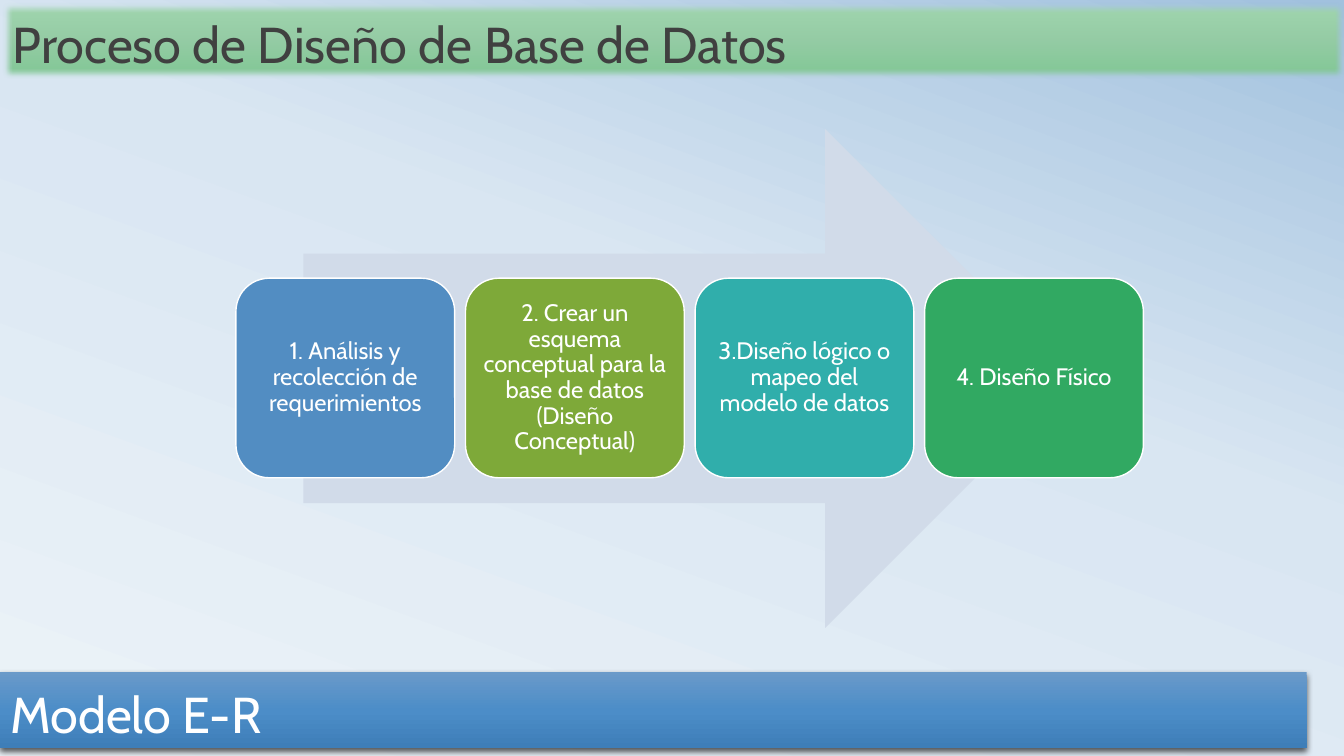
"""Build the slide on the database design process."""
import pptx
import pptx.dml.color
import pptx.enum.shapes
import pptx.enum.text
import pptx.oxml
import pptx.oxml.ns
import pptx.util

Inches, Pt = pptx.util.Inches, pptx.util.Pt
SHAPE = pptx.enum.shapes.MSO_SHAPE
ANCHOR = pptx.enum.text.MSO_ANCHOR
ALIGN = pptx.enum.text.PP_ALIGN
NS = pptx.oxml.ns.nsdecls("a")

COLORS = {
    "white": "FFFFFF", "gray": "404040", "arrow": "D1DBE9",
    "blue": "528DC2", "olive": "7EA939", "teal": "30AEAB", "green": "31A962",
}
GRADIENTS = {
    "sky": ((0, "ECF3F8"), (58, "D9E6F2"), (100, "A1C1DE")),
    "blue": ((0, "6A9AC9"), (50, "4C8DC8"), (100, "3E7EB8")),
    "green": ((0, "A1D6AF"), (50, "94CBA4"), (100, "80C794")),
}
SHADOW = ('<a:outerShdw blurRad="57150" dist="19050" dir="5400000" algn="ctr" rotWithShape="0">'
          '<a:srgbClr val="000000"><a:alpha val="63000"/></a:srgbClr></a:outerShdw>')
SOFT_EDGE = '<a:softEdge rad="63500"/>'
STEPS = (
    ("1. Análisis y recolección de requerimientos", "blue"),
    ("2. Crear un esquema conceptual para la base de datos (Diseño Conceptual)", "olive"),
    ("3.Diseño lógico o mapeo del modelo de datos", "teal"),
    ("4. Diseño Físico", "green"),
)


def rgb(name):
    return pptx.dml.color.RGBColor.from_string(COLORS[name])


def set_gradient(fill, element, name, angle):
    fill.gradient()
    grad = element.find(".//" + pptx.oxml.ns.qn("a:gradFill"))
    stops = "".join(f'<a:gs pos="{pos * 1000}"><a:srgbClr val="{color}"/></a:gs>'
                    for pos, color in GRADIENTS[name])
    grad.replace(grad.find(pptx.oxml.ns.qn("a:gsLst")),
                 pptx.oxml.parse_xml(f"<a:gsLst {NS}>{stops}</a:gsLst>"))
    grad.find(pptx.oxml.ns.qn("a:lin")).set("ang", str(angle * 60000))


def set_effect(sp, effect):
    sp._element.spPr.append(
        pptx.oxml.parse_xml(f"<a:effectLst {NS}>{effect}</a:effectLst>"))


def set_text(sp, text, size, color, anchor, align, spacing):
    tf = sp.text_frame
    tf.word_wrap = True
    tf.auto_size = pptx.enum.text.MSO_AUTO_SIZE.NONE
    tf.vertical_anchor = anchor
    p = tf.paragraphs[0]
    p.text = text
    p.alignment = align
    p.line_spacing = spacing
    p.font.name = "Cabin"
    p.font.size = Pt(size)
    p.font.color.rgb = rgb(color)


def add_shape(s, kind, left, top, width, height):
    sp = s.shapes.add_shape(kind, Inches(left), Inches(top), Inches(width), Inches(height))
    sp.line.fill.background()
    return sp


def place_title(s, text):
    sp = s.shapes.title
    sp.left, sp.top = Inches(0), Inches(6.67)
    sp.width, sp.height = Inches(12.96), Inches(0.75)
    set_gradient(sp.fill, sp._element, "blue", 90)
    set_effect(sp, SHADOW)
    set_text(sp, text, 36, "white", ANCHOR.BOTTOM, ALIGN.LEFT, 0.8)


def add_band(s, text):
    sp = add_shape(s, SHAPE.RECTANGLE, 0.03, 0.03, 13.3, 0.75)
    set_gradient(sp.fill, sp._element, "green", 90)
    sp.line.color.rgb = rgb("green")
    sp.line.width = Pt(0.5)
    set_effect(sp, SOFT_EDGE)
    set_text(sp, text, 36, "gray", ANCHOR.BOTTOM, ALIGN.LEFT, 0.8)


def add_arrow(s):
    sp = add_shape(s, SHAPE.RIGHT_ARROW, 3.01, 1.28, 7.65, 4.95)
    sp.shadow.inherit = False
    sp.fill.solid()
    sp.fill.fore_color.rgb = rgb("arrow")


def add_step(s, index, text, color):
    sp = add_shape(s, SHAPE.ROUNDED_RECTANGLE, 2.34 + 2.277 * index, 2.76, 2.17, 1.98)
    sp.shadow.inherit = False
    sp.fill.solid()
    sp.fill.fore_color.rgb = rgb(color)
    sp.line.color.rgb = rgb("white")
    sp.line.width = Pt(1)
    tf = sp.text_frame
    tf.margin_left = tf.margin_right = tf.margin_top = tf.margin_bottom = Inches(0.07)
    set_text(sp, text, 17, "white", ANCHOR.MIDDLE, ALIGN.CENTER, 0.9)


def main():
    prs = pptx.Presentation()
    prs.slide_width, prs.slide_height = Inches(13.33), Inches(7.5)
    s = prs.slides.add_slide(prs.slide_layouts[5])
    set_gradient(s.background.fill, s._element, "sky", 290)
    place_title(s, "Modelo E-R")
    add_band(s, "Proceso de Diseño de Base de Datos")
    add_arrow(s)
    for index, (text, color) in enumerate(STEPS):
        add_step(s, index, text, color)
    prs.save("out.pptx")


if __name__ == "__main__":
    main()
